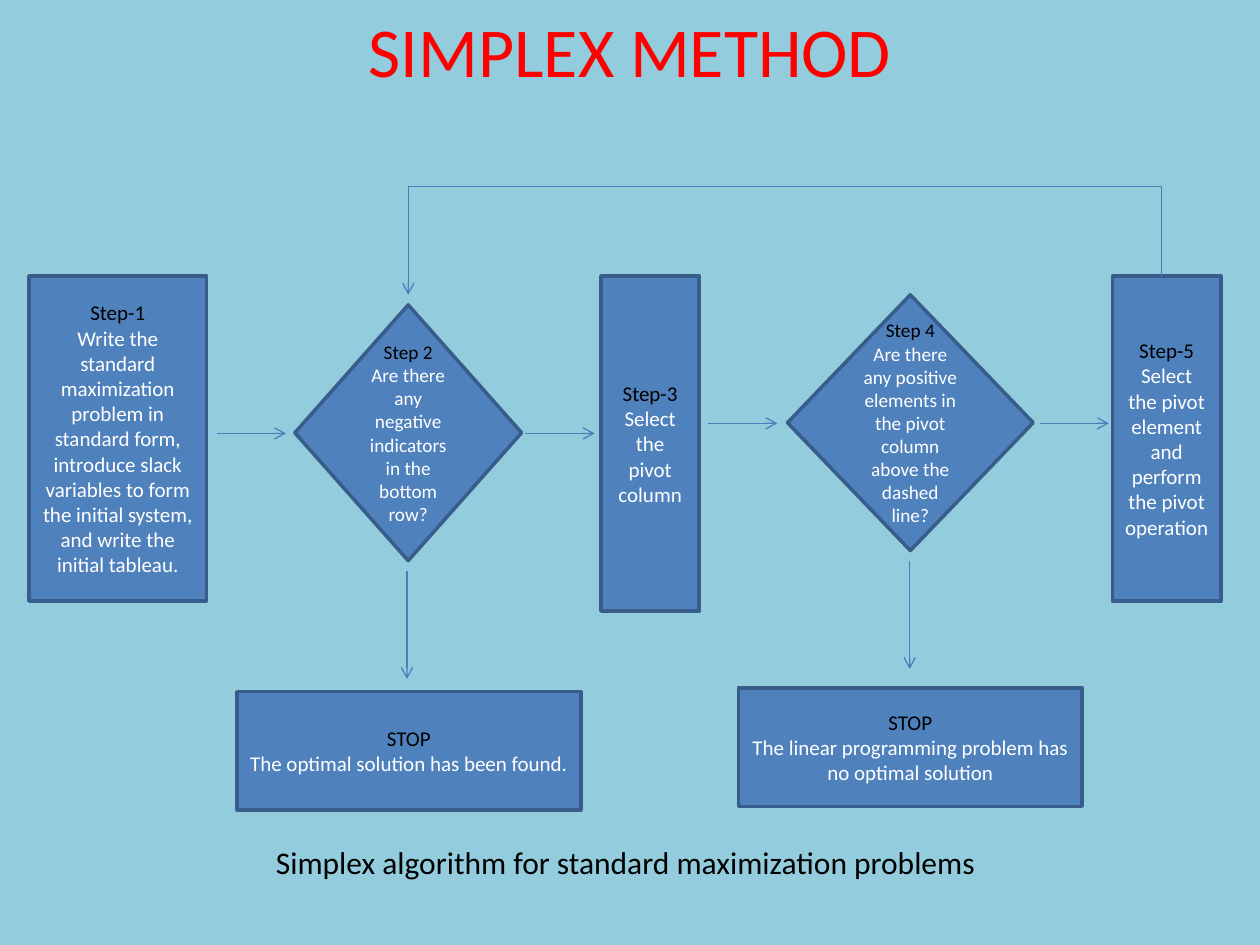
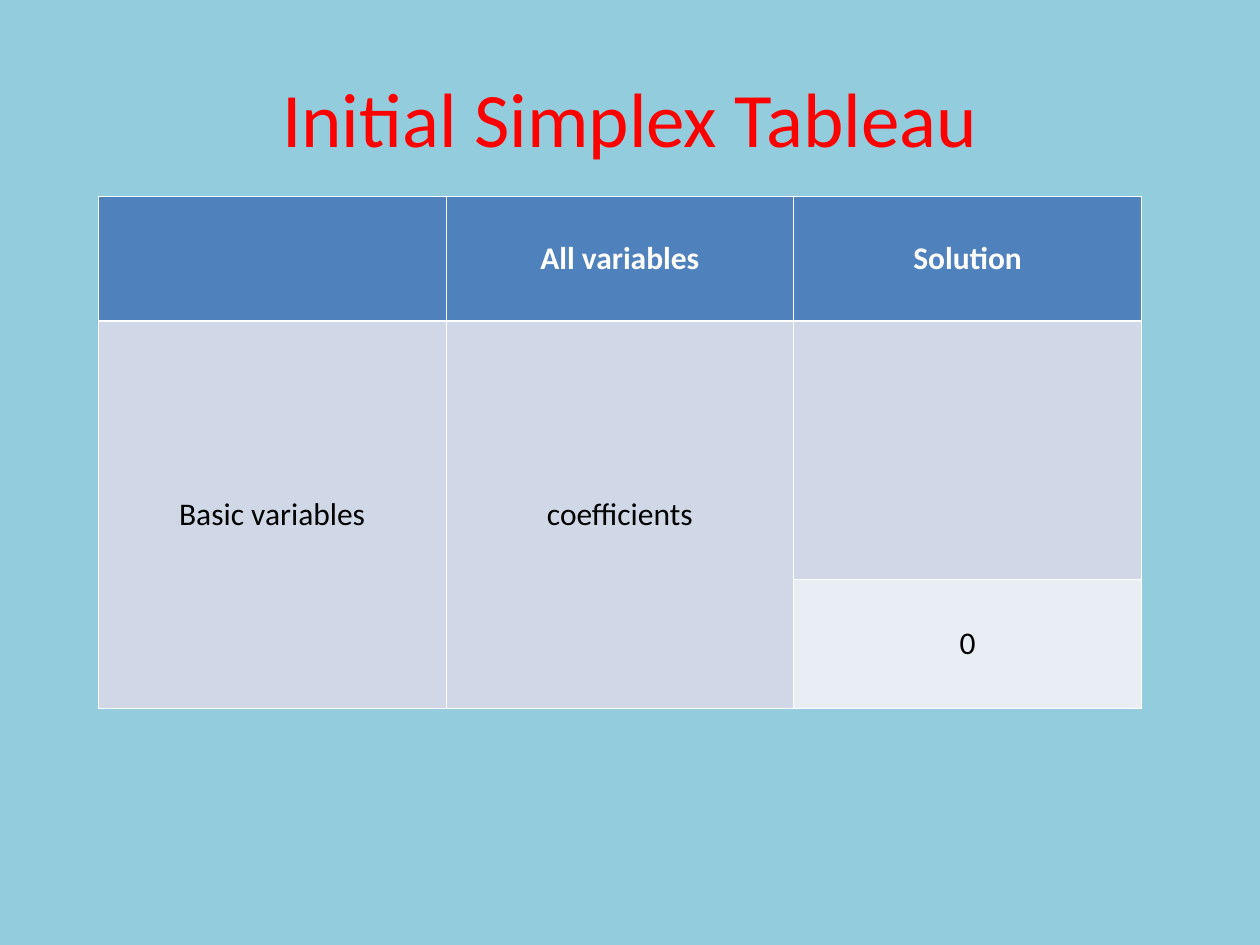
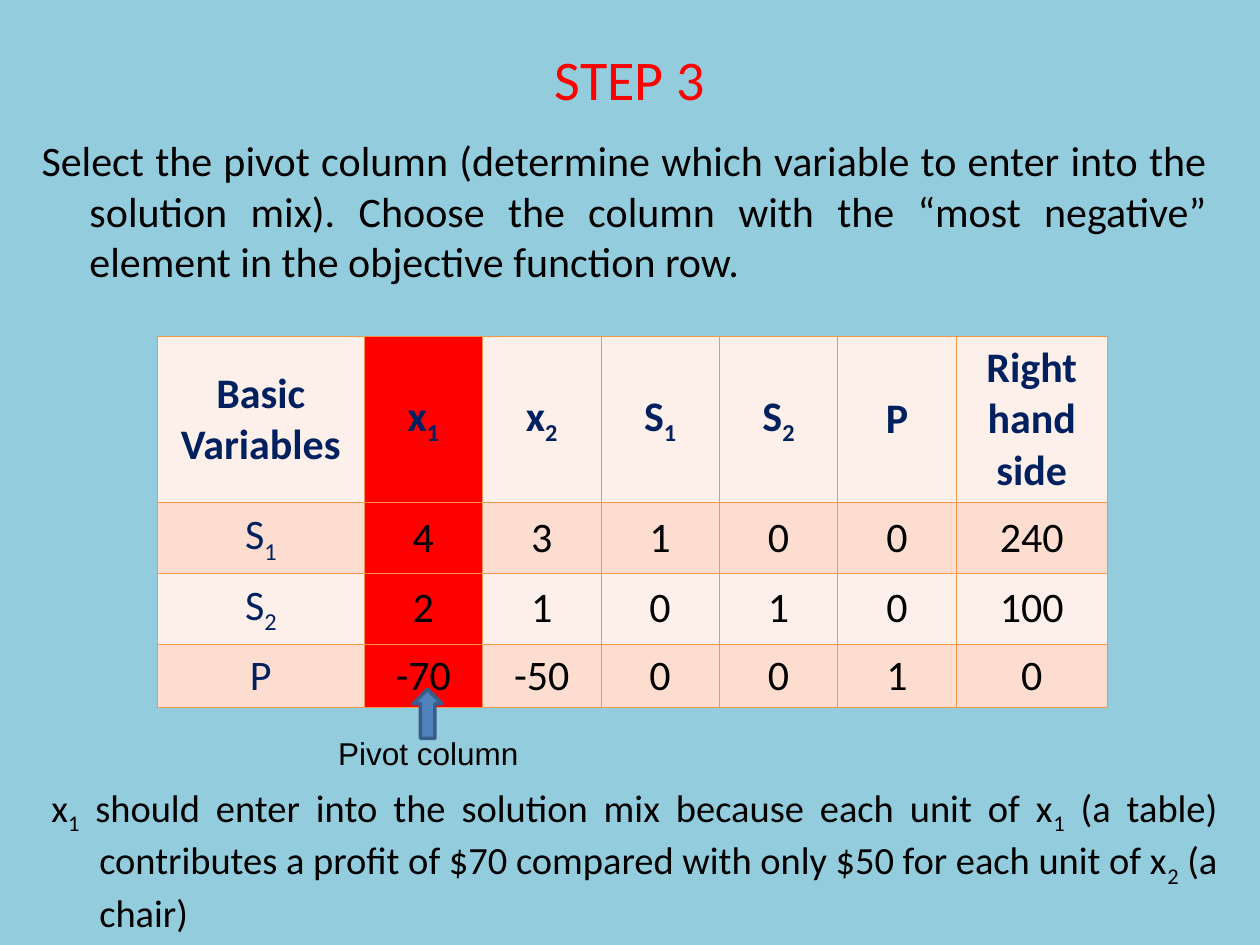
from dataclasses import dataclass

from lxml.etree import SubElement
from pptx import Presentation
from pptx.dml.color import RGBColor
from pptx.enum.shapes import MSO_CONNECTOR as Link, MSO_SHAPE as Preset
from pptx.enum.text import MSO_ANCHOR as Anchor, MSO_AUTO_SIZE as Fit, PP_ALIGN as Align
from pptx.oxml.ns import qn
from pptx.util import Emu, Pt

PX = 9144  # one px is a hundredth of an inch
TITLE_AND_BODY, TITLE_ONLY = 1, 5
COLORS = {
    "sky": "93CDDD", "red": "FF0000", "black": "000000", "white": "FFFFFF",
    "navy": "002060", "blue": "4F81BD", "outline": "385D8A", "arrow": "4A7EBB",
    "pale blue": "D0D8E8", "faint blue": "E9EDF4",
    "orange": "F79646", "peach": "FCDDCF", "pale peach": "FDEFE9",
}


@dataclass(frozen=True)
class Box:
    left: int
    top: int
    width: int
    height: int

    def emu(self) -> list:
        return [px(n) for n in (self.left, self.top, self.width, self.height)]


@dataclass(frozen=True)
class Style:
    size: int
    color: str = "black"
    bold: bool = False
    font: str = "Calibri"
    align: Align = Align.CENTER


@dataclass(frozen=True)
class Step:
    preset: Preset
    box: Box
    heading: str
    text: str
    size: int = 12


@dataclass(frozen=True)
class Arrow:
    x: int
    y: int
    across: int = 0
    down: int = 0


@dataclass(frozen=True)
class Cell:
    text: str
    fill: str
    style: Style


def px(length: float) -> Emu:
    return Emu(round(length * PX))


def rgb(name: str) -> RGBColor:
    return RGBColor.from_string(COLORS[name])


# Text

def add_span(para, text: str, style: Style, lowered: bool = False) -> None:
    span = para.add_run()
    span.text = text
    span.font.name = style.font
    span.font.size = Pt(style.size)
    span.font.bold = style.bold
    span.font.color.rgb = rgb(style.color)
    if lowered:
        span._r.get_or_add_rPr().set("baseline", "-25000")


def write(para, text: str, style: Style) -> None:
    """Add the text; the character after each underscore is a subscript."""
    para.alignment = style.align
    first, *rest = text.split("_")
    if first:
        add_span(para, first, style)
    for part in rest:
        add_span(para, part[0], style, lowered=True)
        if part[1:]:
            add_span(para, part[1:], style)


def write_hanging(para, text: str, size: int, before: float) -> None:
    write(para, text, Style(size, align=Align.JUSTIFY))
    para.space_before = Pt(before)
    settings = para._p.get_or_add_pPr()
    settings.set("marL", str(px(38)))
    settings.set("indent", str(px(-38)))
    SubElement(settings, qn("a:buNone"))


def place(shape, box: Box) -> None:
    shape.left, shape.top, shape.width, shape.height = box.emu()


def add_page(deck, layout: int, title: str, box: Box, size: int):
    page = deck.slides.add_slide(deck.slide_layouts[layout])
    heading = page.shapes.title
    place(heading, box)
    heading.text_frame.auto_size = Fit.NONE
    heading.text_frame.vertical_anchor = Anchor.MIDDLE
    write(heading.text_frame.paragraphs[0], title, Style(size, "red"))
    return page


def add_text_box(page, box: Box):
    frame = page.shapes.add_textbox(*box.emu()).text_frame
    frame.word_wrap = True
    return frame.paragraphs[0]


# Shapes and lines

def add_blue_shape(page, preset: Preset, box: Box):
    shape = page.shapes.add_shape(preset, *box.emu())
    shape.shadow.inherit = False
    shape.fill.solid()
    shape.fill.fore_color.rgb = rgb("blue")
    shape.line.color.rgb = rgb("outline")
    shape.line.width = Pt(2)
    return shape


def add_step(page, step: Step) -> None:
    frame = add_blue_shape(page, step.preset, step.box).text_frame
    frame.word_wrap = True
    frame.vertical_anchor = Anchor.MIDDLE
    write(frame.paragraphs[0], step.heading, Style(step.size))
    write(frame.add_paragraph(), step.text, Style(step.size, "white"))


def add_line(page, kind: Link, x1: float, y1: float, x2: float, y2: float):
    line = page.shapes.add_connector(kind, px(x1), px(y1), px(x2), px(y2))
    line.line.color.rgb = rgb("arrow")
    line.line.width = Pt(0.75)
    SubElement(line.element.spPr, qn("a:effectLst"))
    return line


def add_arrow(page, arrow: Arrow) -> None:
    line = add_line(page, Link.STRAIGHT, arrow.x, arrow.y,
                    arrow.x + arrow.across, arrow.y + arrow.down)
    SubElement(line.line._get_or_add_ln(), qn("a:tailEnd"), type="arrow")


def add_up_then_left(page, x1: int, y1: int, x2: int, y2: int) -> None:
    """Draw a one-bend connector, laid out upright and turned by 270 degrees."""
    middle_x, middle_y = (x1 + x2) / 2, (y1 + y2) / 2
    half_rise, half_run = (y1 - y2) / 2, (x1 - x2) / 2
    line = add_line(page, Link.ELBOW, middle_x - half_rise, middle_y + half_run,
                    middle_x + half_rise, middle_y - half_run)
    properties = line.element.spPr
    properties.find(qn("a:xfrm")).set("rot", str(270 * 60000))
    properties.find(qn("a:prstGeom")).set("prst", "bentConnector2")


# Tables

def add_border(cell, side: str, color: str, width: float) -> None:
    edge = SubElement(cell._tc.get_or_add_tcPr(), qn(f"a:{side}"), w=str(Pt(width)))
    fill = SubElement(edge, qn("a:solidFill"))
    SubElement(fill, qn("a:srgbClr"), val=COLORS[color])


def add_grid(page, left: int, top: int, widths: list[int], heights: list[int],
             rows: list[list[Cell]], border: str, rule: float = 0.45):
    """Draw a table; rule is the width of the line below its header."""
    box = Box(left, top, sum(widths), sum(heights))
    table = page.shapes.add_table(len(heights), len(widths), *box.emu()).table
    table.first_row = table.horz_banding = False
    for column, width in zip(table.columns, widths):
        column.width = px(width)
    for number, (row, height, cells) in enumerate(zip(table.rows, heights, rows)):
        row.height = px(height)
        for cell, content in zip(row.cells, cells):
            cell.vertical_anchor = Anchor.MIDDLE
            for side in ("lnL", "lnR", "lnT", "lnB"):
                under_header = (number, side) in ((0, "lnB"), (1, "lnT"))
                add_border(cell, side, border, rule if under_header else 0.45)
            cell.fill.solid()
            cell.fill.fore_color.rgb = rgb(content.fill)
            if content.text:
                write(cell.text_frame.paragraphs[0], content.text, content.style)
    return table


# Slides

STEPS = [
    Step(Preset.RECTANGLE, Box(23, 219, 141, 258), "Step-1",
         "Write the standard maximization problem in standard form, introduce slack "
         "variables to form the initial system, and write the initial tableau."),
    Step(Preset.RECTANGLE, Box(477, 219, 78, 266), "Step-3", "Select the pivot column"),
    Step(Preset.RECTANGLE, Box(883, 219, 86, 258), "Step-5",
         "Select the pivot element and perform the pivot operation"),
    Step(Preset.RECTANGLE, Box(188, 549, 273, 94), "STOP",
         "The optimal solution has been found."),
    Step(Preset.RECTANGLE, Box(586, 546, 273, 94), "STOP",
         "The linear programming problem has no optimal solution"),
    Step(Preset.DIAMOND, Box(234, 242, 180, 203), "Step 2",
         "Are there any negative indicators in the bottom row?", 11),
    Step(Preset.DIAMOND, Box(625, 234, 195, 203), "Step 4",
         "Are there any positive elements in the pivot column above the dashed line?", 11),
]
ARROWS = [
    *(Arrow(x, y, across=55) for x, y in ((825, 336), (562, 336), (417, 344), (172, 344))),
    *(Arrow(x, y, down=86) for x, y in ((324, 148), (323, 453), (722, 445))),
]


def add_flowchart(deck) -> None:
    page = add_page(deck, TITLE_ONLY, "SIMPLEX METHOD", Box(50, 0, 900, 78), 40)
    for step in STEPS:
        add_step(page, step)
    for arrow in ARROWS:
        add_arrow(page, arrow)
    add_up_then_left(page, 922, 219, 324, 148)
    write(add_text_box(page, Box(55, 664, 883, 40)),
          "Simplex algorithm for standard maximization problems", Style(18))


def add_initial_tableau(deck) -> None:
    page = add_page(deck, TITLE_ONLY, "Initial Simplex Tableau", Box(50, 30, 900, 125), 44)
    header, plain = Style(18, "white", bold=True), Style(18)
    looks = [("blue", header), ("pale blue", plain), ("faint blue", plain)]
    texts = [["", "All variables", "Solution"],
             ["Basic variables", "coefficients", ""],
             ["", "", "0"]]
    rows = [[Cell(text, *look) for text in row] for row, look in zip(texts, looks)]
    table = add_grid(page, 78, 156, [276] * 3, [99, 205, 102], rows, "white", rule=1.47)
    for column in (0, 1):
        table.cell(1, column).merge(table.cell(2, column))


def pivot_cell(row: int, column: int, text: str) -> Cell:
    fill = "red" if column == 1 else ("pale peach", "peach")[row % 2]
    label = row == 0 or column == 0
    return Cell(text, fill, Style(24, "navy" if label else "black", bold=row == 0))


def add_pivot_column(deck) -> None:
    page = add_page(deck, TITLE_AND_BODY, "STEP 3", Box(50, 30, 900, 64), 32)
    body = page.placeholders[1]
    place(body, Box(23, 102, 945, 133))
    body.text_frame.auto_size = Fit.NONE
    write_hanging(
        body.text_frame.paragraphs[0],
        "Select the pivot column (determine which variable to enter into the solution mix). "
        "Choose the column with the “most negative” element in the objective function row.",
        24, 6)

    texts = [["Basic Variables", "x_1", "x_2", "S_1", "S_2", "P", "Right hand side"],
             ["S_1", "4", "3", "1", "0", "0", "240"],
             ["S_2", "2", "1", "0", "1", "0", "100"],
             ["P", "-70", "-50", "0", "0", "1", "0"]]
    rows = [[pivot_cell(r, c, text) for c, text in enumerate(row)]
            for r, row in enumerate(texts)]
    add_grid(page, 125, 267, [164, *[94] * 5, 120], [130, 56, 56, 50], rows, "orange")

    add_blue_shape(page, Preset.UP_ARROW, Box(328, 547, 23, 39))
    write(add_text_box(page, Box(250, 578, 180, 40)), "Pivot column", Style(18, font="Arial"))
    write_hanging(
        add_text_box(page, Box(31, 617, 945, 109)),
        "x_1 should enter into the solution mix because each unit of x_1 (a table) contributes "
        "a profit of $70 compared with only $50 for each unit of x_2 (a chair)",
        22, 5.5)


def main() -> None:
    deck = Presentation()
    deck.slide_width, deck.slide_height = px(1000), px(750)
    backdrop = deck.slide_master.background.fill
    backdrop.solid()
    backdrop.fore_color.rgb = rgb("sky")
    add_flowchart(deck)
    add_initial_tableau(deck)
    add_pivot_column(deck)
    deck.save("out.pptx")


if __name__ == "__main__":
    main()
